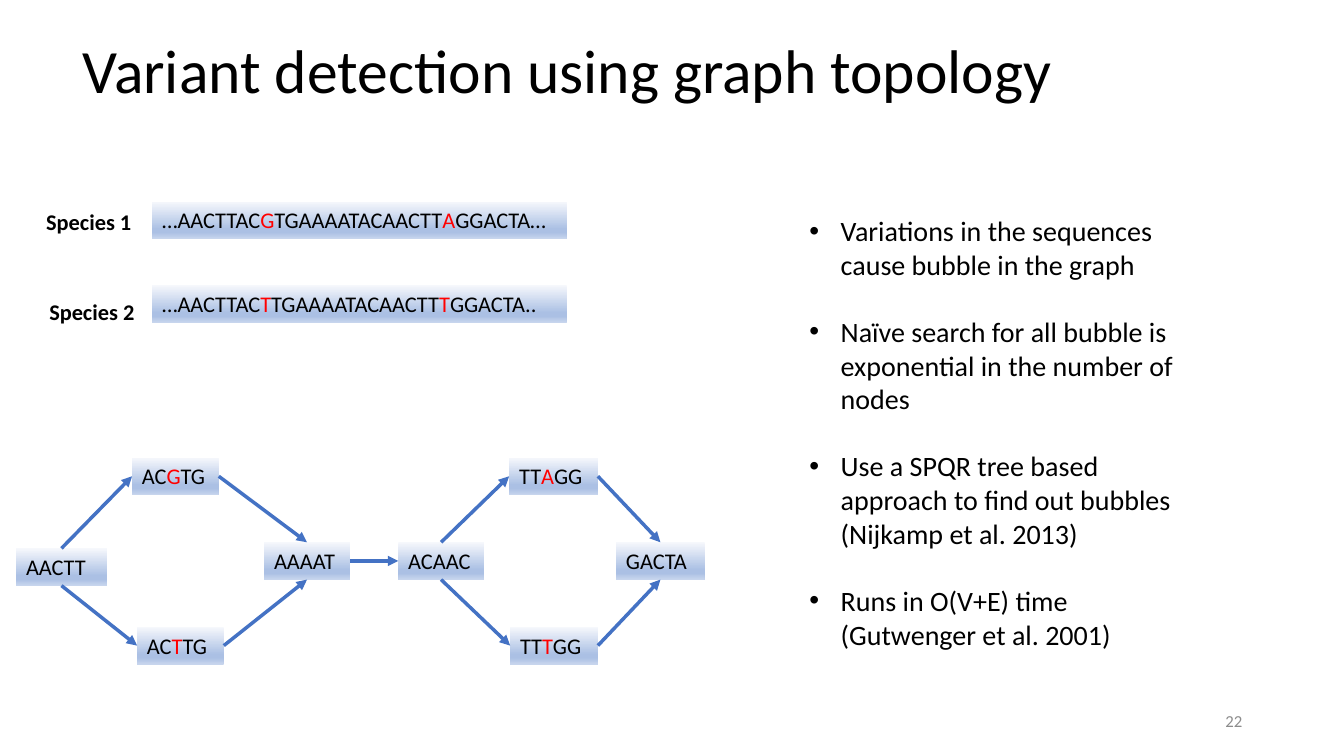
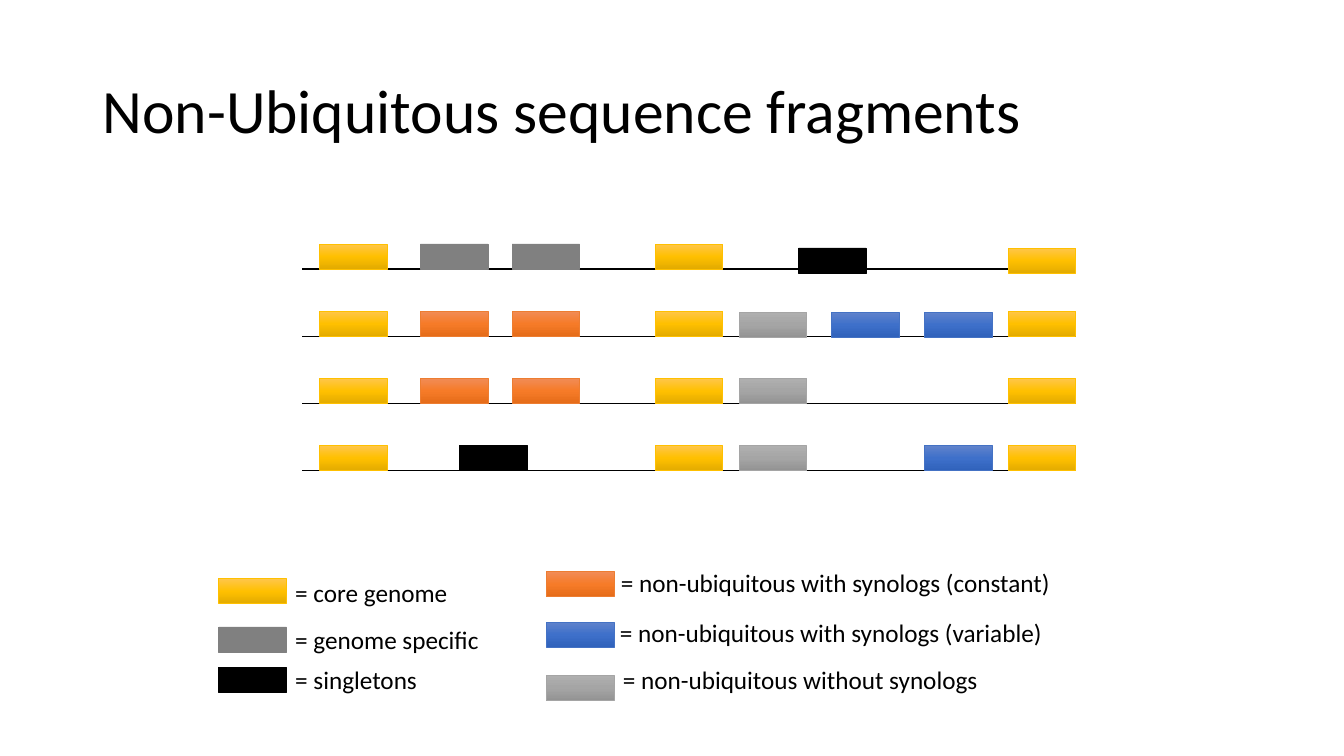
from lxml import etree
from pptx import Presentation
from pptx.dml.color import RGBColor
from pptx.enum.shapes import MSO_CONNECTOR, MSO_SHAPE
from pptx.enum.text import MSO_ANCHOR, PP_ALIGN
from pptx.oxml.ns import qn
from pptx.util import Inches, Pt

RECT, STRAIGHT = MSO_SHAPE.RECTANGLE, MSO_CONNECTOR.STRAIGHT
TOP_ANCHOR, MIDDLE = MSO_ANCHOR.TOP, MSO_ANCHOR.MIDDLE
LEFT_ALIGN, RIGHT_ALIGN = PP_ALIGN.LEFT, PP_ALIGN.RIGHT

FONT = "Calibri"
BLACK = RGBColor(0x00, 0x00, 0x00)
RED = RGBColor(0xFF, 0x00, 0x00)
BLUE = RGBColor(0x44, 0x72, 0xC4)
GOLD = RGBColor(0xFF, 0xC0, 0x00)
ORANGE = RGBColor(0xED, 0x7D, 0x31)
SILVER = RGBColor(0xA5, 0xA5, 0xA5)
GREY = RGBColor(0x80, 0x80, 0x80)
FOOTER_GREY = RGBColor(0x8C, 0x8C, 0x8C)

# Gradient stops: percent and colour, from top to bottom
PALE_BLUE = [(0, "F6F8FC"), (74, "ABC0E4"), (83, "ABC0E4"), (100, "C7D5ED")]
# Fragment kinds: line colour and gradient (None for a plain fill)
KINDS = {
    "core": (GOLD, [(0, "FFC64B"), (50, "FFC000"), (100, "E3AB00")]),
    "constant": (ORANGE, [(0, "F18C57"), (50, "F67B28"), (100, "E56C19")]),
    "variable": (BLUE, [(0, "6183CB"), (50, "3E70CA"), (100, "3062BB")]),
    "without": (SILVER, [(0, "AFAFAF"), (50, "A5A5A5"), (100, "939393")]),
    "specific": (GREY, None),
    "singleton": (BLACK, None),
}
BLOCK_W, BLOCK_H = 0.67, 0.25
LABEL_H = 0.37

# Connection sites of a rectangle
TOP, LEFT, BOTTOM, RIGHT = range(4)


# Shared helpers
def write(p, text, size=16, color=BLACK, bold=False):
    """Fill a paragraph; parts between bars are red."""
    for n, line in enumerate(text.split("\n")):
        if n:
            p.add_line_break()
        for i, part in enumerate(line.split("|")):
            r = p.add_run()
            r.text = part
            r.font.name, r.font.size, r.font.bold = FONT, Pt(size), bold
            r.font.color.rgb = RED if i % 2 else color


def add_text(slide, text, x, y, w, h, align=LEFT_ALIGN, anchor=TOP_ANCHOR,
             spacing=None, **style):
    sp = slide.shapes.add_textbox(Inches(x), Inches(y), Inches(w), Inches(h))
    tf = sp.text_frame
    tf.word_wrap, tf.vertical_anchor = True, anchor
    p = tf.paragraphs[0]
    p.alignment, p.line_spacing = align, spacing
    write(p, text, **style)


def add_title(slide, text, x, y):
    add_text(slide, text, x, y, 11.5, 1.45, anchor=MIDDLE, spacing=0.9, size=44)


def fill_gradient(sp, stops):
    sp.fill.gradient()
    sp.fill.gradient_angle = 270
    gs_list = sp.fill._xPr.find(qn("a:gradFill")).find(qn("a:gsLst"))
    for gs in list(gs_list):
        gs_list.remove(gs)
    for percent, color in stops:
        gs = etree.SubElement(gs_list, qn("a:gs"), pos=str(percent * 1000))
        etree.SubElement(gs, qn("a:srgbClr"), val=color)


def add_rect(slide, x, y, w, h):
    sp = slide.shapes.add_shape(RECT, Inches(x), Inches(y), Inches(w), Inches(h))
    sp.shadow.inherit = False
    return sp


def add_line(slide, color, width, x1=0, y1=0, x2=0, y2=0):
    line = slide.shapes.add_connector(
        STRAIGHT, Inches(x1), Inches(y1), Inches(x2), Inches(y2))
    line.line.color.rgb, line.line.width = color, Pt(width)
    etree.SubElement(line._element.spPr, qn("a:effectLst"))
    return line


# Slide 1: graph topology
def add_sequence(slide, text, x, y, w):
    sp = add_rect(slide, x, y, w, LABEL_H)
    fill_gradient(sp, PALE_BLUE)
    sp.line.fill.background()
    tf = sp.text_frame
    tf.word_wrap, tf.vertical_anchor = True, TOP_ANCHOR
    tf.paragraphs[0].alignment = LEFT_ALIGN
    write(tf.paragraphs[0], text)
    return sp


def add_species(slide, x, y):
    rows = [("Species 1", 0, 0.02, "…AACTTAC|G|TGAAAATACAACTT|A|GGACTA…"),
            ("Species 2", 0.03, 0.08, "…AACTTAC|T|TGAAAATACAACTT|T|GGACTA..")]
    for i, (name, dx, dy, sequence) in enumerate(rows):
        top = y + i * 0.83
        add_sequence(slide, sequence, x + 1.15, top, 4.11)
        add_text(slide, name, x + dx, top + dy, 1.15, LABEL_H, bold=True)


def add_graph(slide, x, y):
    nodes = {
        "start": ("AACTT", 0, 0.9, 0.9),
        "first up": ("AC|G|TG", 1.15, 0, 0.86),
        "first down": ("AC|T|TG", 1.2, 1.68, 0.86),
        "join": ("AAAAT", 2.46, 0.84, 0.85),
        "split": ("ACAAC", 3.79, 0.84, 0.85),
        "second up": ("TT|A|GG", 4.89, 0, 0.88),
        "second down": ("TT|T|GG", 4.9, 1.68, 0.87),
        "end": ("GACTA", 5.95, 0.84, 0.88),
    }
    edges = [
        ("start", TOP, "first up", LEFT),
        ("start", BOTTOM, "first down", LEFT),
        ("first down", RIGHT, "join", BOTTOM),
        ("first up", RIGHT, "join", TOP),
        ("join", RIGHT, "split", LEFT),
        ("split", TOP, "second up", LEFT),
        ("split", BOTTOM, "second down", LEFT),
        ("second up", RIGHT, "end", TOP),
        ("second down", RIGHT, "end", BOTTOM),
    ]
    shapes = {name: add_sequence(slide, text, x + dx, y + dy, w)
              for name, (text, dx, dy, w) in nodes.items()}
    for source, out_site, target, in_site in edges:
        arrow = add_line(slide, BLUE, 2.5)
        arrow.begin_connect(shapes[source], out_site)
        arrow.end_connect(shapes[target], in_site)
        etree.SubElement(arrow.line._get_or_add_ln(), qn("a:tailEnd"), type="triangle")


def add_bullets(slide, items, x, y, w, h):
    sp = slide.shapes.add_textbox(Inches(x), Inches(y), Inches(w), Inches(h))
    tf = sp.text_frame
    tf.word_wrap = True
    for i, item in enumerate(items):
        p = tf.add_paragraph() if i else tf.paragraphs[0]
        pPr = p._p.get_or_add_pPr()
        pPr.set("marL", str(Inches(0.31)))
        pPr.set("indent", str(-Inches(0.31)))
        etree.SubElement(pPr, qn("a:buFont"), typeface="Arial")
        etree.SubElement(pPr, qn("a:buChar"), char="•")
        if i:
            p.space_before = Pt(24)
        write(p, item, size=20)


def build_topology(slide):
    add_title(slide, "Variant detection using graph topology", 0.72, 0)
    add_text(slide, "22", 9.42, 6.95, 3, 0.4, align=RIGHT_ALIGN, anchor=MIDDLE,
             size=12, color=FOOTER_GREY)
    add_species(slide, 0.36, 2)
    add_graph(slide, 0.16, 4.54)
    add_bullets(slide, [
        "Variations in the sequences cause bubble in the graph",
        "Naïve search for all bubble is exponential in the number of nodes",
        "Use a SPQR tree based approach to find out bubbles\n(Nijkamp et al. 2013)",
        "Runs in O(V+E) time (Gutwenger et al. 2001)",
    ], 7.93, 2.07, 3.91, 4.48)


# Slide 2: sequence fragments
def add_block(slide, kind, x, y):
    color, stops = KINDS[kind]
    sp = add_rect(slide, x, y, BLOCK_W, BLOCK_H)
    if stops:
        fill_gradient(sp, stops)
    else:
        sp.fill.solid()
        sp.fill.fore_color.rgb = color
    sp.line.color.rgb, sp.line.width = color, Pt(0.5)


def add_genomes(slide, x, y, w):
    # Each fragment: kind, distance from the left end, drop below the row
    genomes = [
        [("core", 0.17, 0), ("specific", 1.17, 0), ("specific", 2.08, 0),
         ("core", 3.5, 0), ("singleton", 4.92, 0.04), ("core", 7, 0.04)],
        [("core", 0.17, 0), ("constant", 1.17, 0), ("constant", 2.08, 0),
         ("core", 3.5, 0), ("without", 4.33, 0.01), ("variable", 5.25, 0.01),
         ("variable", 6.17, 0.01), ("core", 7, 0)],
        [("core", 0.17, 0), ("constant", 1.17, 0), ("constant", 2.08, 0),
         ("core", 3.5, 0), ("without", 4.33, 0), ("core", 7, 0)],
        [("core", 0.17, 0), ("singleton", 1.56, 0), ("core", 3.5, 0),
         ("without", 4.33, 0), ("variable", 6.17, 0), ("core", 7, 0)],
    ]
    for i, fragments in enumerate(genomes):
        base = y + BLOCK_H + i * 2 / 3
        add_line(slide, BLACK, 1, x, base, x + w, base)
        for kind, dx, drop in fragments:
            add_block(slide, kind, x + dx, base - BLOCK_H + drop)


def add_legend(slide, x, y):
    # Each entry: kind, meaning, block position, text position
    entries = [
        ("core", "core genome", 0, 0.16, 0.66, 0.1),
        ("specific", "genome specific", 0, 0.64, 0.66, 0.56),
        ("singleton", "singletons", 0, 1.04, 0.66, 0.96),
        ("constant", "non-ubiquitous with synologs (constant)", 3.25, 0.09, 3.89, 0),
        ("variable", "non-ubiquitous with synologs (variable)", 3.25, 0.59, 3.88, 0.5),
        ("without", "non-ubiquitous without synologs", 3.25, 1.12, 3.91, 0.96),
    ]
    for kind, meaning, block_x, block_y, text_x, text_y in entries:
        add_block(slide, kind, x + block_x, y + block_y)
        width = 4.7 if block_x else 2.3
        add_text(slide, f"= {meaning}", x + text_x, y + text_y, width, 0.4, size=18)


def build_fragments(slide):
    add_title(slide, "Non-Ubiquitous sequence fragments", 0.92, 0.4)
    add_genomes(slide, 3, 2.42, 7.67)
    add_legend(slide, 2.17, 5.58)


def main():
    prs = Presentation()
    prs.slide_width, prs.slide_height = Inches(13.33), Inches(7.5)
    for build in (build_topology, build_fragments):
        build(prs.slides.add_slide(prs.slide_layouts[6]))
    prs.save("out.pptx")


if __name__ == "__main__":
    main()
